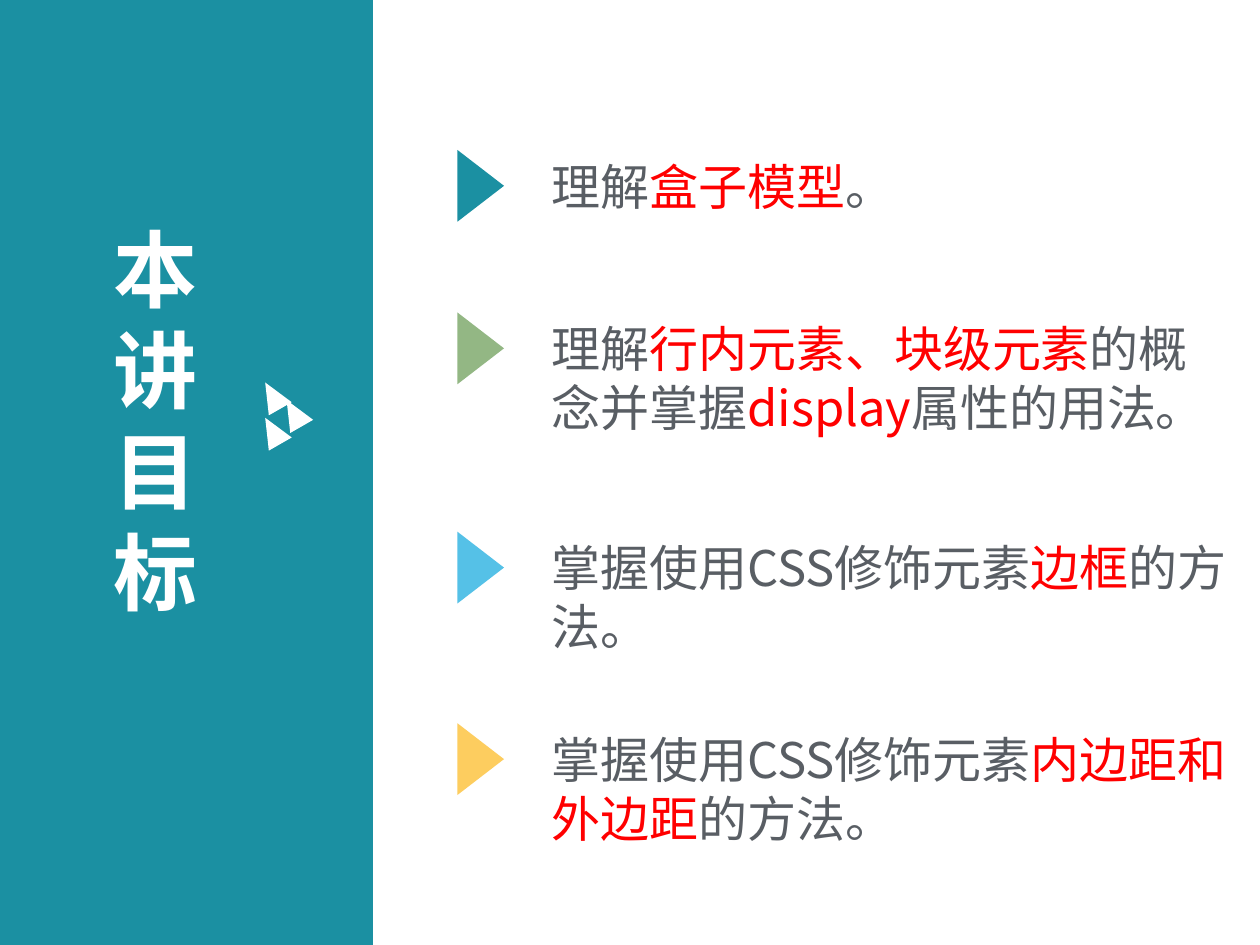
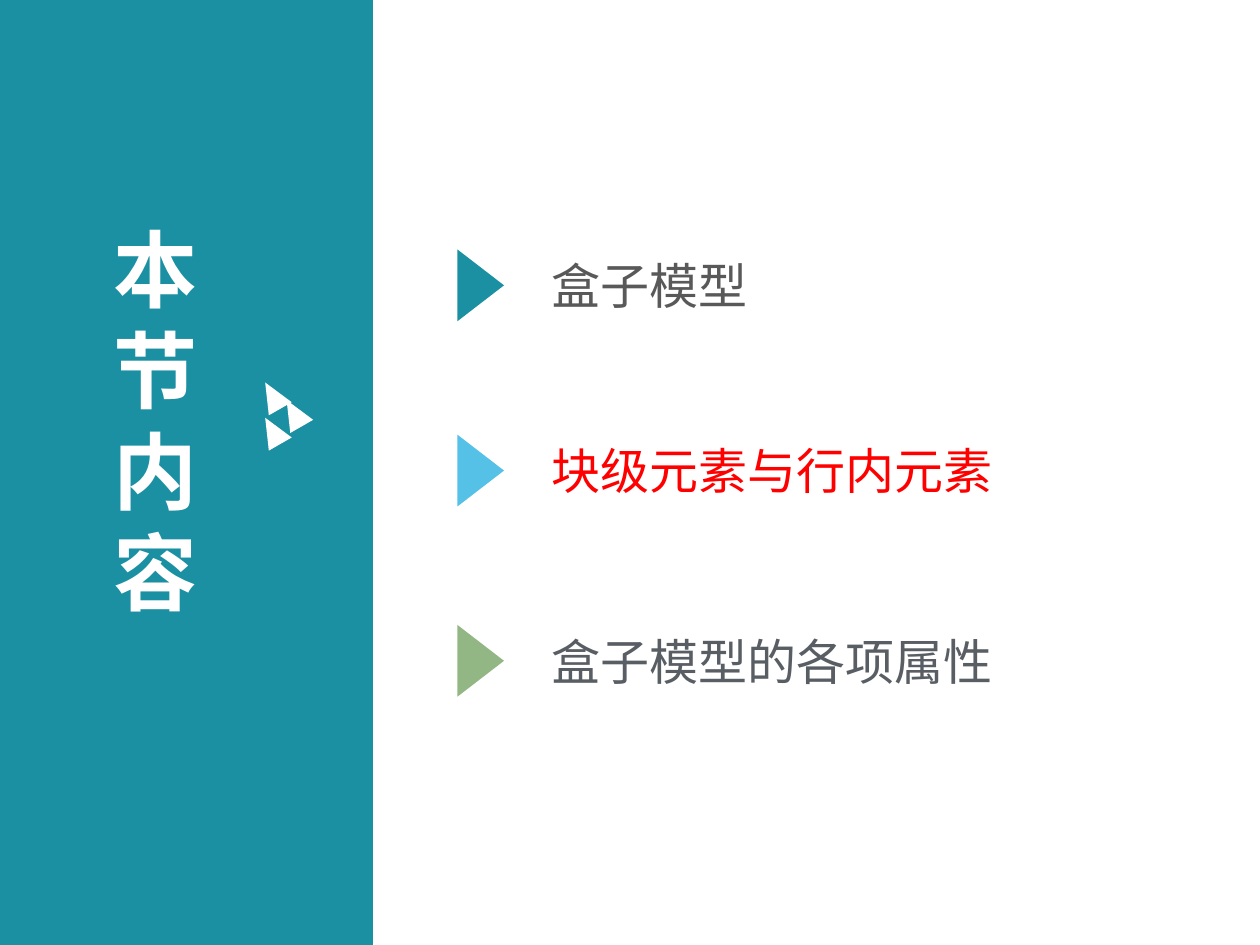
from collections import namedtuple
from dataclasses import dataclass

from lxml import etree
from pptx import Presentation
from pptx.dml.color import RGBColor
from pptx.enum.shapes import MSO_SHAPE
from pptx.enum.text import MSO_ANCHOR, PP_ALIGN
from pptx.oxml.ns import qn
from pptx.util import Inches, Pt

RECT = MSO_SHAPE.RECTANGLE
TRIANGLE = MSO_SHAPE.ISOSCELES_TRIANGLE
TOP = MSO_ANCHOR.TOP
LEFT = PP_ALIGN.LEFT
COLS, ROWS, CELL = 100, 75, Inches(0.1)

Box = namedtuple("Box", "x y w h")
Item = namedtuple("Item", "row color runs w lines")


@dataclass(frozen=True)
class Theme:
    """Colours, font and type sizes of the deck."""
    teal: str = "1B90A2"
    green: str = "93B784"
    blue: str = "55C1E7"
    yellow: str = "FDCD5F"
    white: str = "FFFFFF"
    body: str = "595E64"
    gray: str = "595959"
    key: str = "FF0000"
    font: str = "Noto Sans CJK SC"
    title_size: int = 48
    item_size: int = 28
    leading: float = 1.2


T = Theme()
BAND = Box(0, 0, 29.6, ROWS)
CONTENT = Box(BAND.w, 0, COLS - BAND.w, ROWS)


def place(box):
    """Turn a box in grid cells into slide lengths."""
    return [round(v * CELL) for v in box]


def add_fill_shape(s, kind, box, color, rotation=0):
    """Draw a flat shape without outline or shadow."""
    sp = s.shapes.add_shape(kind, *place(box))
    sp.fill.solid()
    sp.fill.fore_color.rgb = RGBColor.from_string(color)
    sp.line.fill.background()
    sp.shadow.inherit = False
    sp.rotation = rotation


def add_text(s, box, runs, size, bold=False):
    """Write one wrapped paragraph from (text, colour) runs."""
    tf = s.shapes.add_textbox(*place(box)).text_frame
    tf.word_wrap = True
    tf.vertical_anchor = TOP
    p = tf.paragraphs[0]
    p.alignment = LEFT
    p.line_spacing = Pt(size * T.leading)
    for text, color in runs:
        r = p.add_run()
        r.text = text
        r.font.size = Pt(size)
        r.font.bold = bold
        r.font.name = T.font
        r.font.color.rgb = RGBColor.from_string(color)
        ea = etree.SubElement(r.font._element, qn("a:ea"))
        ea.set("typeface", T.font)


def add_title_band(s, box, title):
    """Fill the side band with its stacked title and triangle emblem."""
    add_fill_shape(s, RECT, box, T.teal)
    add_text(s, Box(box.x + 8, box.y + 16.8, 13.1, 33.3),
             [(title, T.white)], T.title_size, bold=True)
    for dx, dy in ((0, 0), (0, 2.8), (1.7, 1.4)):
        add_fill_shape(s, TRIANGLE,
                       Box(box.x + 20.6 + dx, box.y + 30.2 + dy, 2.1, 2.4),
                       T.white, 330.2)


def add_item(s, box, item):
    """Place a pointing marker and its text in a content row."""
    y = box.y + item.row
    add_fill_shape(s, TRIANGLE, Box(box.x + 5.7, y + 1, 5.7, 3.7),
                   item.color, 90)
    add_text(s, Box(box.x + 13.2, y, item.w, 1 + 4.7 * item.lines),
             item.runs, T.item_size)


def add_list_slide(prs, title, items):
    """Build a slide with a title band and marked items."""
    s = prs.slides.add_slide(prs.slide_layouts[6])
    add_title_band(s, BAND, title)
    for item in items:
        add_item(s, CONTENT, item)


def main():
    """Build and save the deck."""
    prs = Presentation()
    prs.slide_width, prs.slide_height = COLS * CELL, ROWS * CELL
    add_list_slide(prs, "本讲目标", [
        Item(11.9, T.teal, [("理解", T.body), ("盒子模型", T.key),
                            ("。", T.body)], 55.6, 2),
        Item(24.8, T.green, [("理解", T.body),
                             ("行内元素、块级元素", T.key),
                             ("的概念并掌握", T.body), ("display", T.key),
                             ("属性的用法。", T.body)], 55.1, 2),
        Item(42.2, T.blue, [("掌握使用CSS修饰元素", T.body),
                            ("边框", T.key), ("的方法。", T.body)], 55.6, 2),
        Item(57.4, T.yellow, [("掌握使用CSS修饰元素", T.body),
                              ("内边距和外边距", T.key),
                              ("的方法。", T.body)], 55.6, 2),
    ])
    add_list_slide(prs, "本节内容", [
        Item(19.8, T.teal, [("盒子模型", T.gray)], 55.8, 1),
        Item(34.5, T.blue, [("块级元素与行内元素", T.key)], 55.6, 1),
        Item(49.6, T.green, [("盒子模型的各项属性", T.body)], 40.6, 1),
    ])
    prs.save("out.pptx")


if __name__ == "__main__":
    main()
